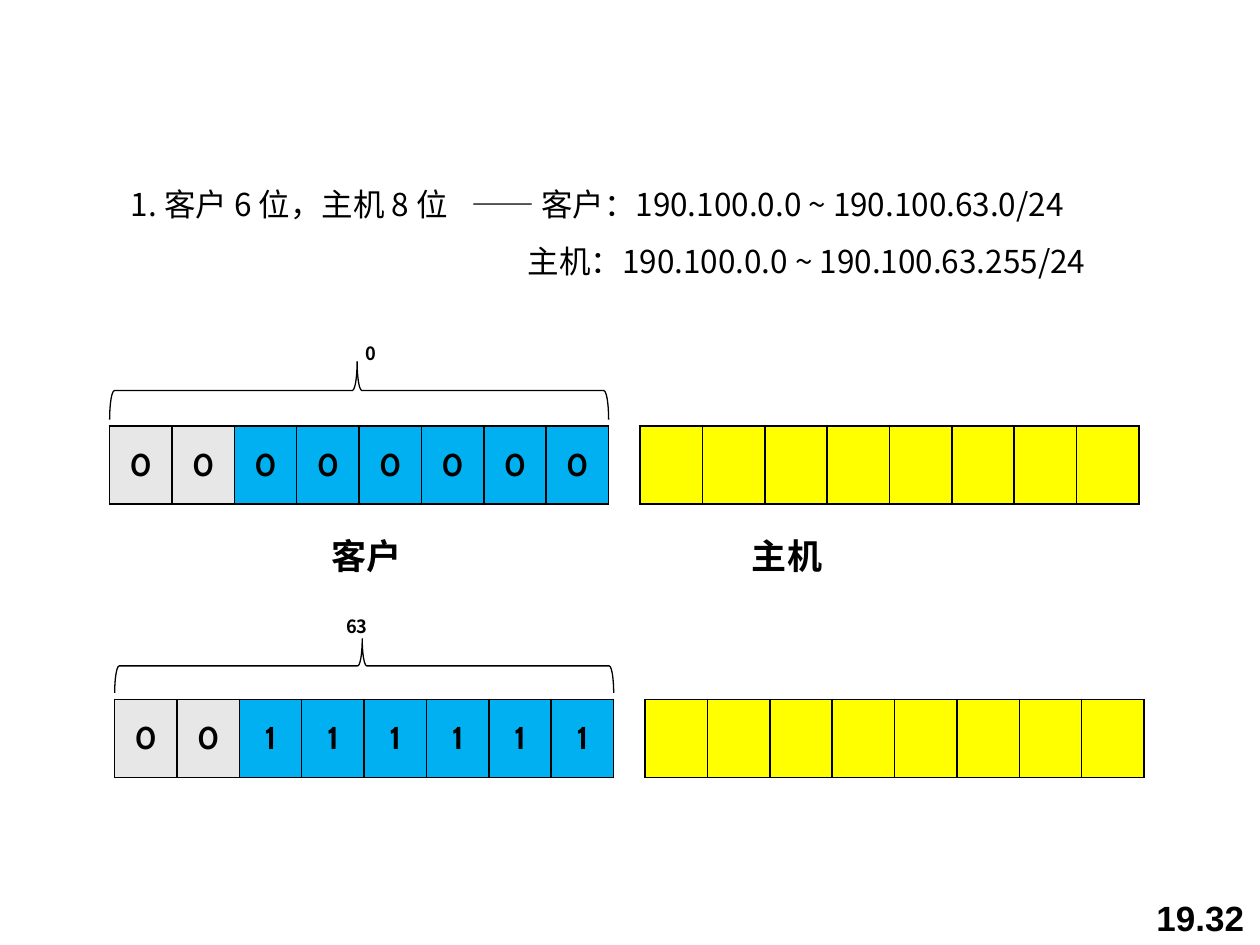
from dataclasses import dataclass

from lxml import etree
from pptx import Presentation
from pptx.dml.color import RGBColor
from pptx.enum.shapes import MSO_SHAPE
from pptx.enum.text import MSO_ANCHOR, PP_ALIGN
from pptx.oxml.ns import qn
from pptx.util import Inches, Pt

BRACE = MSO_SHAPE.LEFT_BRACE
CENTER = PP_ALIGN.CENTER
TOP, MIDDLE, BOTTOM = MSO_ANCHOR.TOP, MSO_ANCHOR.MIDDLE, MSO_ANCHOR.BOTTOM

COLORS = {"ink": "000000", "prefix": "E7E7E7", "subnet": "00B0F0", "host": "FFFF00"}
CJK = "Noto Sans CJK SC"

# Bit grid: eight columns to an octet
BITS, PREFIX_BITS = 8, 2
OCTET_W, OCTET_H = 3.96, 0.62
HOST_OFFSET = 4.21


@dataclass
class Address:
    x: float
    y: float
    bits: str
    brace_h: float
    brace_y: float
    value: str
    value_x: float
    value_y: float


ADDRESSES = [
    Address(0.87, 3.38, "00000000", 0.46, 2.87, "0", 2.8, 2.5),
    Address(0.91, 5.55, "00111111", 0.43, 5.07, "63", 2.65, 4.67),
]


def rgb(name: str) -> RGBColor:
    return RGBColor.from_string(COLORS[name])


def style(p, size: float, font: str, bold: bool = False) -> None:
    f = p.font
    f.size, f.name, f.bold = Pt(size), font, bold
    f.color.rgb = rgb("ink")
    # East Asian glyphs take the same typeface
    etree.SubElement(p._p.pPr.find(qn("a:defRPr")), qn("a:ea"), typeface=font)


def add_text(s, x: float, y: float, w: float, h: float, lines: list[str], size: float = 18,
             font: str = CJK, bold: bool = False, spacing: float | None = None, anchor=TOP):
    tf = s.shapes.add_textbox(Inches(x), Inches(y), Inches(w), Inches(h)).text_frame
    tf.word_wrap = True
    tf.vertical_anchor = anchor
    for i, line in enumerate(lines):
        p = tf.paragraphs[0] if i == 0 else tf.add_paragraph()
        p.text = line
        if spacing:
            p.line_spacing = spacing
        style(p, size, font, bold)
    return tf


def add_border(cell) -> None:
    tc_pr = cell._tc.get_or_add_tcPr()
    for i, side in enumerate(("lnL", "lnR", "lnT", "lnB")):
        ln = etree.Element(qn(f"a:{side}"), w=str(Pt(1)))
        fill = etree.SubElement(ln, qn("a:solidFill"))
        etree.SubElement(fill, qn("a:srgbClr"), val=COLORS["ink"])
        tc_pr.insert(i, ln)


def add_octet(s, x: float, y: float, fills: list[str], bits: str = "") -> None:
    table = s.shapes.add_table(1, BITS, Inches(x), Inches(y),
                               Inches(OCTET_W), Inches(OCTET_H)).table
    table.first_row = table.horz_banding = False
    for i, fill in enumerate(fills):
        cell = table.cell(0, i)
        cell.fill.solid()
        cell.fill.fore_color.rgb = rgb(fill)
        cell.vertical_anchor = MIDDLE
        add_border(cell)
        if bits:
            p = cell.text_frame.paragraphs[0]
            p.text = bits[i]
            p.alignment = CENTER
            style(p, 18, "Cabin", True)


def add_brace(s, x: float, y: float, h: float) -> None:
    # Turned a quarter, so its height runs along the octet
    left, top = x + (OCTET_W - h) / 2, y - (OCTET_W - h) / 2
    sp = s.shapes.add_shape(BRACE, Inches(left), Inches(top), Inches(h), Inches(OCTET_W))
    sp.rotation = 90
    sp.adjustments[0], sp.adjustments[1] = 0.083, 0.504
    sp.shadow.inherit = False
    sp.fill.background()
    sp.line.color.rgb = rgb("ink")
    sp.line.width = Pt(0.75)


def add_address(s, a: Address) -> None:
    subnet = ["prefix"] * PREFIX_BITS + ["subnet"] * (BITS - PREFIX_BITS)
    add_octet(s, a.x, a.y, subnet, a.bits)
    add_octet(s, a.x + HOST_OFFSET, a.y, ["host"] * BITS)
    add_brace(s, a.x, a.brace_y, a.brace_h)
    tf = add_text(s, a.value_x, a.value_y, 0.83, 0.4, [a.value], bold=True)
    # Lowered small digits
    tf.paragraphs[0].runs[0]._r.get_or_add_rPr().set("baseline", "-25000")


def main() -> None:
    prs = Presentation()
    prs.slide_width, prs.slide_height = Inches(10), Inches(7.5)
    s = prs.slides.add_slide(prs.slide_layouts[6])

    # Slide number
    add_text(s, 9.08, 7, 1, 0.5, ["19.32"], 20, "Arial", True, anchor=BOTTOM)

    # Address diagrams
    for address in ADDRESSES:
        add_address(s, address)

    # Address ranges
    add_text(s, 0.94, 1.27, 3.14, 0.5, ["1. 客户 6 位，主机 8 位"], spacing=1.5)
    tf = add_text(s, 3.64, 1.27, 5.86, 0.96,
                  ["—— 客户：190.100.0.0 ~ 190.100.63.0/24",
                   "主机：190.100.0.0 ~ 190.100.63.255/24"], spacing=1.5)
    tf.paragraphs[1]._p.pPr.set("marL", str(Inches(0.45)))

    # Octet captions, the second at a tab stop
    tf = add_text(s, 2.53, 4.19, 6.33, 0.44, ["客户\t主机"], 20, bold=True)
    p_pr = tf.paragraphs[0]._p.pPr
    tabs = etree.Element(qn("a:tabLst"))
    etree.SubElement(tabs, qn("a:tab"), pos=str(Inches(3.34)), algn="l")
    p_pr.insert(0, tabs)

    prs.save("out.pptx")


if __name__ == "__main__":
    main()
